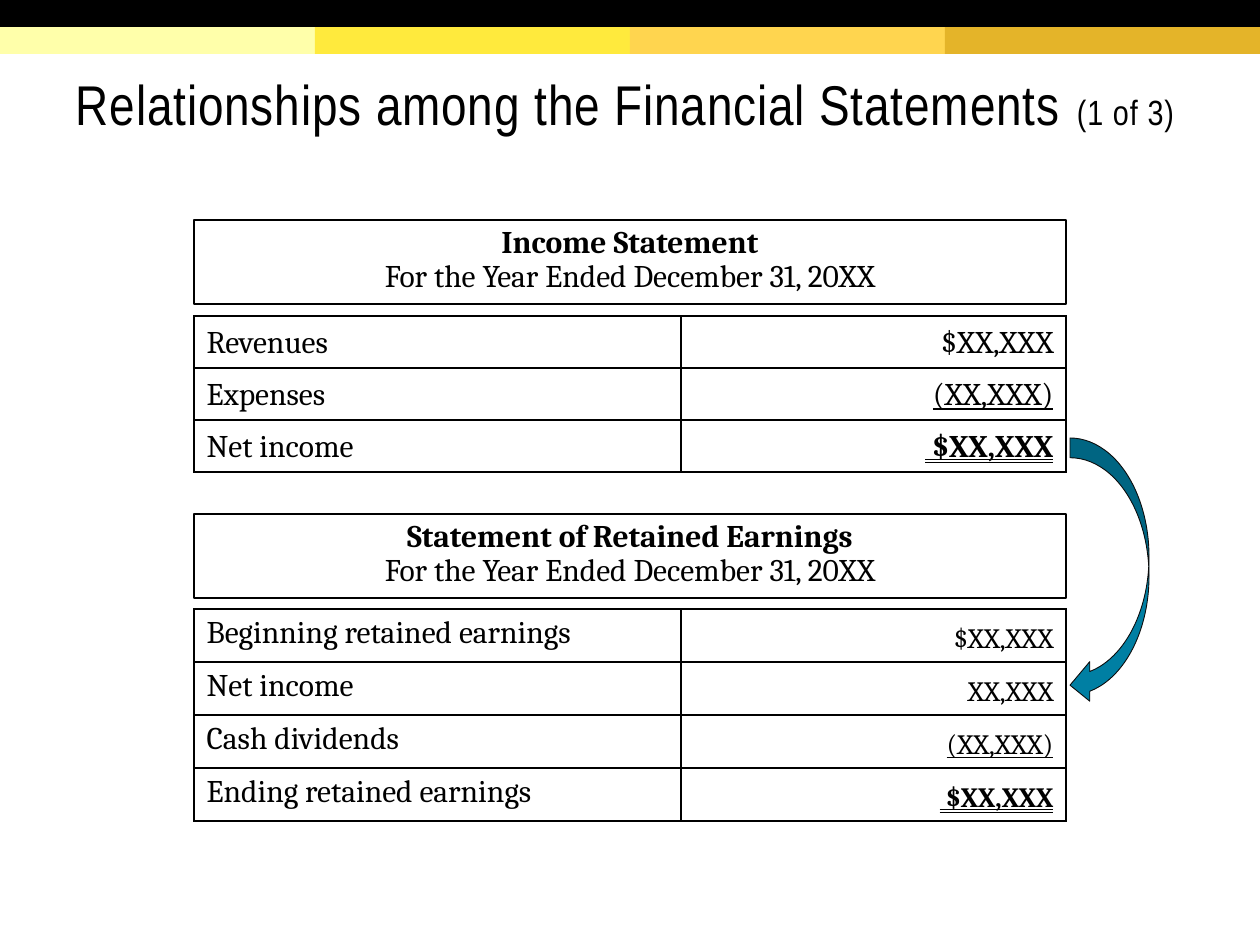
from pptx import Presentation
from pptx.dml.color import RGBColor
from pptx.enum.shapes import MSO_SHAPE
from pptx.enum.text import MSO_ANCHOR, MSO_AUTO_SIZE, MSO_UNDERLINE, PP_ALIGN
from pptx.oxml.ns import qn
from pptx.util import Pt
from lxml.etree import SubElement, Element

COLORS = {"ink": "000000", "outline": "0C0C0C", "arrow": "007FA3"}
BANDS = ["FFFFAA", "FFEA3D", "FFD54F", "E4B429"]
TITLE = [("Relationships among the Financial Statements ", 32), ("(1 of 3)", 20)]
PERIOD = "For the Year Ended December 31, 20XX"
SINGLE = MSO_UNDERLINE.SINGLE_LINE
DOUBLE = MSO_UNDERLINE.DOUBLE_LINE

STATEMENTS = [
    {
        "heading": "Income Statement", "top": 220, "table_top": 316,
        "row_height": 52, "label_anchor": MSO_ANCHOR.BOTTOM, "amount_size": 18,
        "rows": [
            ("Revenues", "$XX,XXX", None),
            ("Expenses", "(XX,XXX)", SINGLE),
            ("Net income", " $XX,XXX", DOUBLE),
        ],
    },
    {
        "heading": "Statement of Retained Earnings", "top": 514, "table_top": 609,
        "row_height": 53, "label_anchor": MSO_ANCHOR.TOP, "amount_size": 16,
        "rows": [
            ("Beginning retained earnings", "$XX,XXX", None),
            ("Net income", "XX,XXX", None),
            ("Cash dividends", "(XX,XXX)", SINGLE),
            ("Ending retained earnings", " $XX,XXX", DOUBLE),
        ],
    },
]

PAGE_WIDTH, PAGE_HEIGHT = 1260, 945
BAND_HEIGHT = 27
LEFT, HEADING_HEIGHT = 194, 84
COLUMNS = [487, 385]


def px(length):
    return round(length * 914400 / 126)


def color(name):
    return RGBColor.from_string(COLORS.get(name, name))


def place(shape, left, top, width, height):
    shape.left, shape.top = px(left), px(top)
    shape.width, shape.height = px(width), px(height)


def add_span(para, text, size, font="Cambria", bold=False, underline=None):
    span = para.add_run()
    span.text = text
    span.font.name = font
    span.font.size = Pt(size)
    span.font.bold = bold
    span.font.underline = underline
    span.font.color.rgb = color("ink")
    return span


def add_block(page, kind, bounds, fill, outline=None):
    block = page.shapes.add_shape(kind, *map(px, bounds))
    block.shadow.inherit = False
    block.fill.solid()
    block.fill.fore_color.rgb = color(fill)
    if outline:
        block.line.color.rgb = color(outline)
        block.line.width = Pt(0.5)
    else:
        block.line.fill.background()


def add_title(page):
    title = page.shapes.title
    place(title, 63, 30, 1134, 151)
    frame = title.text_frame
    frame.auto_size = MSO_AUTO_SIZE.NONE
    frame.vertical_anchor = MSO_ANCHOR.MIDDLE
    frame.margin_top, frame.margin_bottom = Pt(7.2), Pt(3.6)
    para = frame.paragraphs[0]
    para.alignment = PP_ALIGN.LEFT
    para.line_spacing = 0.85
    for text, size in TITLE:
        span = add_span(para, text, size, "Arial Narrow")
        span.font._element.set("spc", "50")


def fill_heading(box, statement):
    place(box, LEFT, statement["top"], sum(COLUMNS), HEADING_HEIGHT)
    box.line.color.rgb = color("ink")
    box.line.width = Pt(1)
    frame = box.text_frame
    frame.auto_size = MSO_AUTO_SIZE.NONE
    frame.vertical_anchor = MSO_ANCHOR.TOP
    paras = [frame.paragraphs[0], frame.add_paragraph()]
    for para, text, bold in zip(paras, [statement["heading"], PERIOD], [True, False]):
        para.alignment = PP_ALIGN.CENTER
        para.line_spacing = 0.9
        para.space_before = Pt(0)
        properties = para._p.get_or_add_pPr()
        properties.set("marL", "0")
        properties.set("indent", "0")
        SubElement(properties, qn("a:buNone"))
        add_span(para, text, 18, bold=bold)


def add_borders(cell):
    properties = cell._tc.get_or_add_tcPr()
    for index, side in enumerate(["lnL", "lnR", "lnT", "lnB"]):
        line = Element(qn(f"a:{side}"), w=str(Pt(1)))
        fill = SubElement(line, qn("a:solidFill"))
        SubElement(fill, qn("a:srgbClr"), val=COLORS["ink"])
        properties.insert(index, line)


def fill_cell(cell, text, size, anchor, align, bold=False, underline=None):
    cell.fill.background()
    cell.vertical_anchor = anchor
    add_borders(cell)
    para = cell.text_frame.paragraphs[0]
    para.alignment = align
    add_span(para, text, size, bold=bold, underline=underline)


def add_statement_table(page, statement):
    rows, height = statement["rows"], statement["row_height"]
    bounds = (LEFT, statement["table_top"], sum(COLUMNS), height * len(rows))
    table = page.shapes.add_table(len(rows), len(COLUMNS), *map(px, bounds)).table
    table.first_row = table.horz_banding = False
    for column, width in zip(table.columns, COLUMNS):
        column.width = px(width)
    for index, (label, amount, underline) in enumerate(rows):
        table.rows[index].height = px(height)
        fill_cell(table.cell(index, 0), label, 18, statement["label_anchor"], PP_ALIGN.LEFT)
        fill_cell(table.cell(index, 1), amount, statement["amount_size"],
                  MSO_ANCHOR.BOTTOM, PP_ALIGN.RIGHT, underline == DOUBLE, underline)


def main():
    deck = Presentation()
    deck.slide_width, deck.slide_height = px(PAGE_WIDTH), px(PAGE_HEIGHT)
    page = deck.slides.add_slide(deck.slide_layouts.get_by_name("Two Content"))
    band_width = PAGE_WIDTH // len(BANDS)
    for index, fill in enumerate(BANDS):
        bounds = (index * band_width, BAND_HEIGHT, band_width, BAND_HEIGHT)
        add_block(page, MSO_SHAPE.RECTANGLE, bounds, fill)
    add_block(page, MSO_SHAPE.RECTANGLE, (0, 0, PAGE_WIDTH, BAND_HEIGHT), "ink")
    add_title(page)
    for index, statement in enumerate(STATEMENTS, start=1):
        fill_heading(page.placeholders[index], statement)
        add_statement_table(page, statement)
    add_block(page, MSO_SHAPE.CURVED_LEFT_ARROW, (1070, 438, 79, 267), "arrow", "outline")
    deck.save("out.pptx")


if __name__ == "__main__":
    main()
